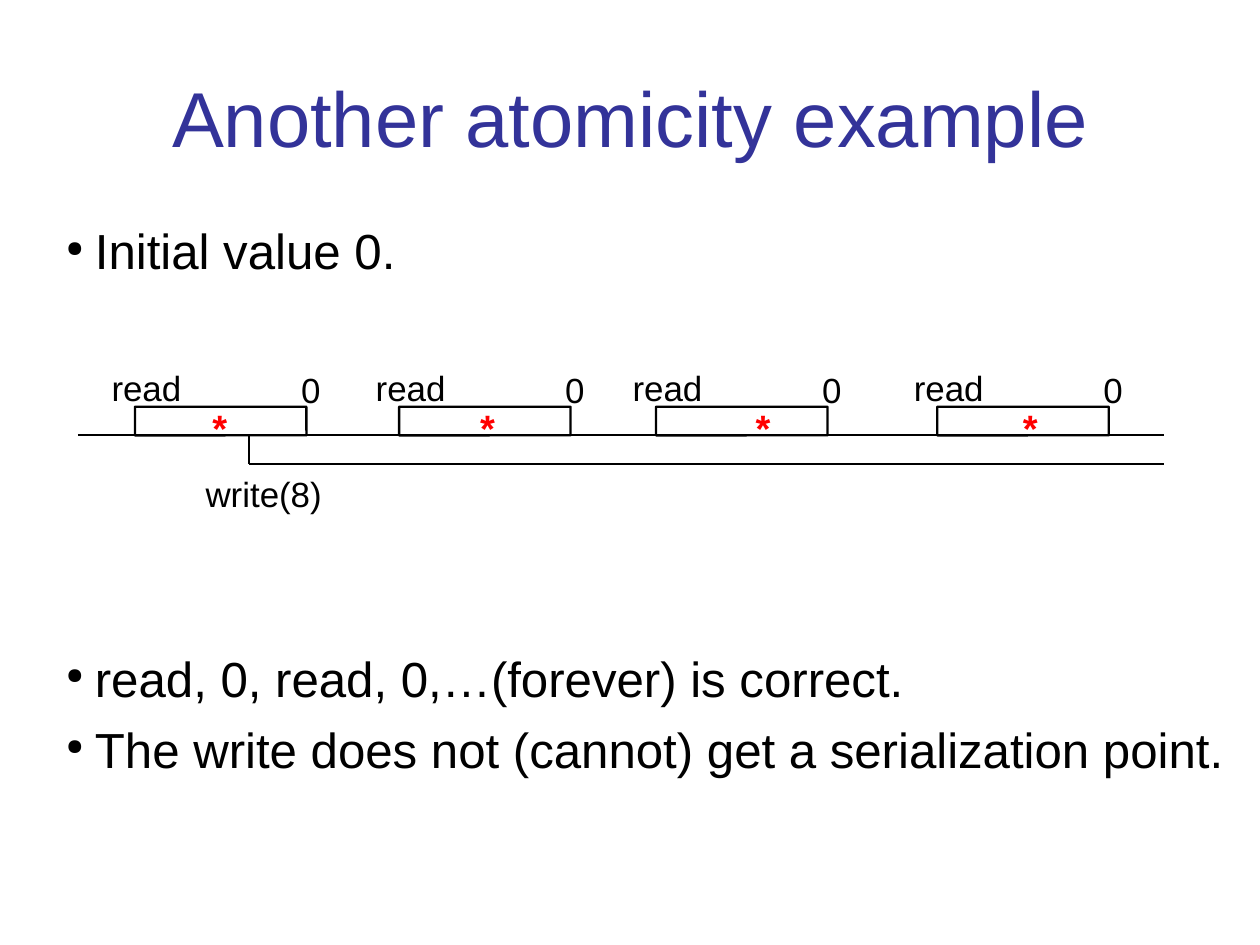
from dataclasses import dataclass

from lxml import etree
from pptx import Presentation
from pptx.dml.color import RGBColor
from pptx.enum.shapes import MSO_CONNECTOR, MSO_SHAPE
from pptx.enum.text import MSO_ANCHOR, PP_ALIGN
from pptx.oxml.ns import qn
from pptx.util import Cm, Pt

STRAIGHT = MSO_CONNECTOR.STRAIGHT
ROUNDED = MSO_SHAPE.ROUNDED_RECTANGLE
TOP, MIDDLE = MSO_ANCHOR.TOP, MSO_ANCHOR.MIDDLE
LEFT, CENTER = PP_ALIGN.LEFT, PP_ALIGN.CENTER


@dataclass(frozen=True)
class Theme:
    font: str = "Arial"
    title_color: RGBColor = RGBColor(0x33, 0x33, 0x99)
    ink: RGBColor = RGBColor(0, 0, 0)
    mark: RGBColor = RGBColor(0xFF, 0, 0)
    title_size: float = 49
    body_size: float = 31
    label_size: float = 22
    mark_size: float = 24
    line_width: float = 1.45


THEME = Theme()


def style(paragraph, text, size, color, bold=False):
    paragraph.text = text
    font = paragraph.font
    font.name, font.size, font.bold = THEME.font, Pt(size), bold
    font.color.rgb = color


def add_frame(slide, box, margins=(0, 0), wrap=True, anchor=TOP):
    frame = slide.shapes.add_textbox(*map(Cm, box)).text_frame
    frame.word_wrap, frame.vertical_anchor = wrap, anchor
    frame.margin_left = frame.margin_right = Cm(margins[0])
    frame.margin_top = frame.margin_bottom = Cm(margins[1])
    return frame


def add_label(slide, box, text, size=THEME.label_size, color=THEME.ink,
              bold=False, margins=(0.28, 0.15)):
    paragraph = add_frame(slide, box, margins, wrap=False).paragraphs[0]
    paragraph.line_spacing = 1.04
    style(paragraph, text, size, color, bold)


def add_line(slide, x1, y1, x2, y2):
    line = slide.shapes.add_connector(STRAIGHT, *map(Cm, (x1, y1, x2, y2)))
    line.line.color.rgb = THEME.ink
    line.line.width = Pt(THEME.line_width)
    etree.SubElement(line._element.spPr, qn("a:effectLst"))


def add_bullet(paragraph):
    properties = paragraph._p.get_or_add_pPr()
    properties.set("marL", str(Cm(0.94)))
    properties.set("indent", str(Cm(-0.64)))
    color = etree.SubElement(properties, qn("a:buClr"))
    etree.SubElement(color, qn("a:srgbClr"), val=str(THEME.ink))
    etree.SubElement(properties, qn("a:buSzPct"), val="45000")
    etree.SubElement(properties, qn("a:buChar"), char="●")


def add_title(slide, box, text):
    paragraph = add_frame(slide, box, anchor=MIDDLE).paragraphs[0]
    paragraph.alignment = CENTER
    style(paragraph, text, THEME.title_size, THEME.title_color)


def add_body(slide, box, items):
    """Each item is its text and the space before it in points."""
    frame = add_frame(slide, box)
    for index, (text, space) in enumerate(items):
        paragraph = frame.add_paragraph() if index else frame.paragraphs[0]
        paragraph.alignment = LEFT
        paragraph.space_before = Pt(space)
        add_bullet(paragraph)
        style(paragraph, text, THEME.body_size, THEME.ink)


def add_read(slide, box, mark_offset):
    left, top, width, height = box
    shape = slide.shapes.add_shape(ROUNDED, *map(Cm, box))
    shape.adjustments[0] = 0.01
    shape.shadow.inherit = False
    shape.fill.background()
    shape.line.color.rgb = THEME.ink
    shape.line.width = Pt(THEME.line_width)
    add_label(slide, (left - 0.8, top - 1.09, 2.11, 1.27), "read")
    add_label(slide, (left + width - 0.4, top - 1.04, 0.99, 1.27), "0")
    # Serialization point
    add_label(slide, (left + mark_offset, top - 0.23, 0.84, 1.32), "*",
              THEME.mark_size, THEME.mark, bold=True, margins=(0.25, 0.13))


def add_timeline(slide, box, reads, write_offset):
    left, top, width, height = box
    right, middle, bottom = left + width, top + height / 2, top + height
    write_left = left + write_offset
    # Reads above the time axis
    add_line(slide, left, middle, right, middle)
    for offset, mark_offset in reads:
        add_read(slide, (left + offset, top, 3.81, height / 2), mark_offset)
    # Unfinished write below the axis
    add_line(slide, write_left, middle, write_left, bottom)
    add_line(slide, write_left, bottom, right, bottom)
    add_label(slide, (write_left - 1.25, bottom, 3.4, 1.27), "write(8)")


def build_slide(presentation):
    slide = presentation.slides.add_slide(presentation.slide_layouts[6])
    add_title(slide, (1.4, 0.84, 25.2, 3.5), "Another atomicity example")
    add_body(slide, (1.17, 4.9, 26.14, 12.6), [
        ("Initial value 0.", 0),
        ("read, 0, read, 0,…(forever) is correct.", 232),
        ("The write does not (cannot) get a serialization point.", 7.7),
    ])
    add_timeline(slide, (1.73, 9.04, 24.13, 1.27),
                 reads=[(1.27, 1.47), (7.14, 1.55), (12.85, 1.96), (19.1, 1.65)],
                 write_offset=3.81)


presentation = Presentation()
presentation.slide_width, presentation.slide_height = Cm(28), Cm(21)
build_slide(presentation)
presentation.save("out.pptx")
